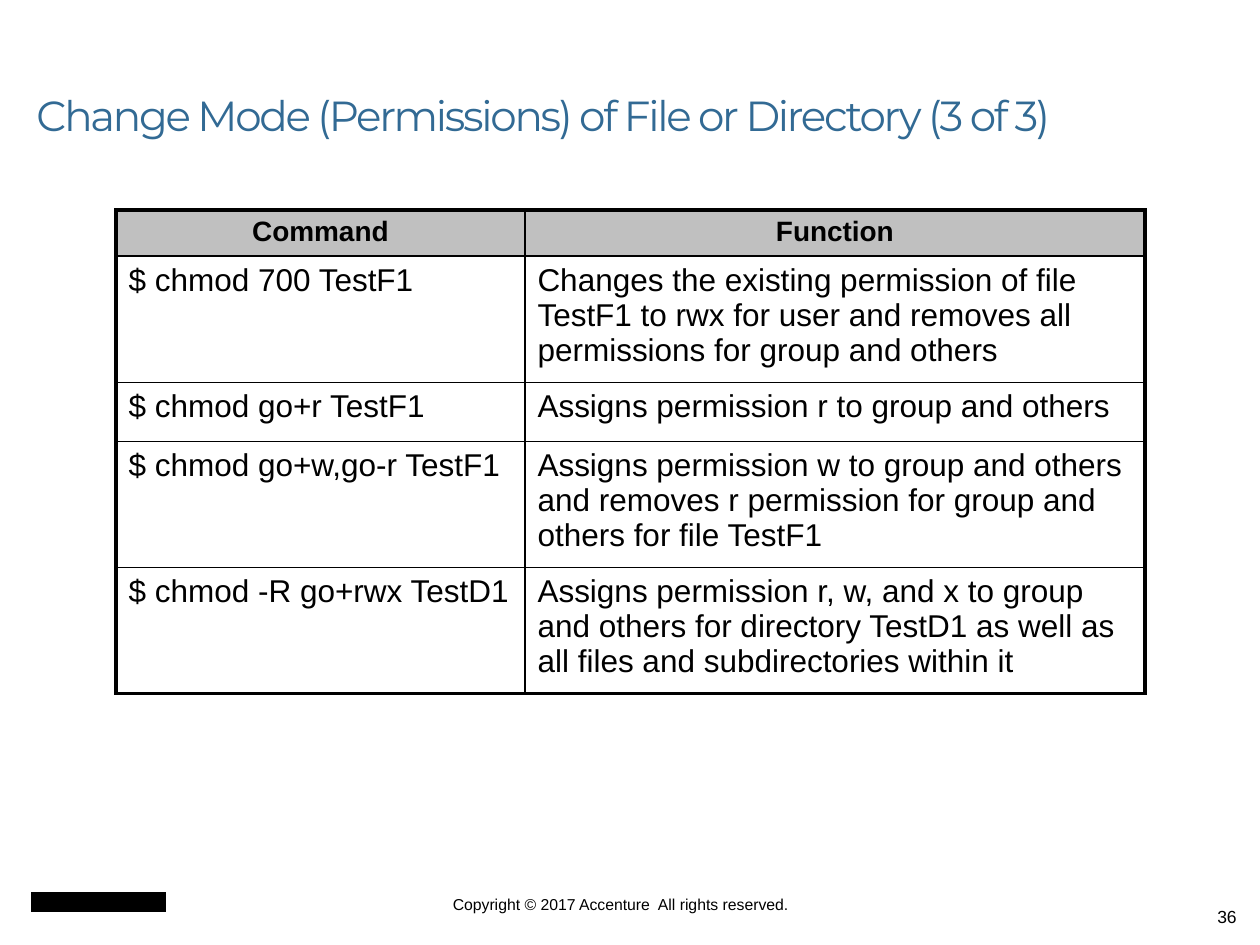
import dataclasses

import lxml.etree
import pptx
import pptx.dml.color
import pptx.enum.shapes
import pptx.enum.text
import pptx.oxml.ns
import pptx.util

ALIGN = pptx.enum.text.PP_ALIGN
ANCHOR = pptx.enum.text.MSO_ANCHOR


@dataclasses.dataclass
class Theme:
    ink: str = "000000"
    title: str = "326A94"
    header: str = "C0C0C0"
    heading_font: str = "Montserrat"
    body_font: str = "Arial"
    title_pt: int = 24
    body_pt: int = 18
    header_pt: int = 16
    number_pt: int = 10
    footer_pt: int = 9
    outer_pt: float = 2.25
    inner_pt: float = 1


def px(n):
    return pptx.util.Emu(round(n * 914400 / 126))


def rgb(value):
    return pptx.dml.color.RGBColor.from_string(value)


class Deck:
    """Holds the theme and the current slide, and draws each kind of element."""

    def __init__(self, theme):
        self.theme = theme
        self.prs = pptx.Presentation()
        self.prs.slide_width, self.prs.slide_height = px(1260), px(945)
        self.s = self.prs.slides.add_slide(self.prs.slide_layouts[6])

    def run(self, p, text, size, color=None, font=None, bold=False):
        r = p.add_run()
        r.text = text
        r.font.size = pptx.util.Pt(size)
        r.font.name = font or self.theme.body_font
        r.font.bold = bold
        r.font.color.rgb = rgb(color or self.theme.ink)
        return r

    def box(self, x, y, w, h, align, inset=True, anchor=ANCHOR.TOP):
        tf = self.s.shapes.add_textbox(px(x), px(y), px(w), px(h)).text_frame
        tf.word_wrap = True
        tf.vertical_anchor = anchor
        if not inset:
            tf.margin_left = tf.margin_right = tf.margin_top = tf.margin_bottom = 0
        p = tf.paragraphs[0]
        p.alignment = align
        return p

    def title(self, text, x, y, w, h):
        p = self.box(x, y, w, h, ALIGN.LEFT, anchor=ANCHOR.BOTTOM)
        p.line_spacing = 0.9
        t = self.theme
        r = self.run(p, text, t.title_pt, t.title, t.heading_font)
        r._r.get_or_add_rPr().set("spc", "-130")

    def label(self, text, x, y, w, h, size, align, inset=True):
        self.run(self.box(x, y, w, h, align, inset), text, size)

    def block(self, x, y, w, h, color):
        sp = self.s.shapes.add_shape(
            pptx.enum.shapes.MSO_SHAPE.RECTANGLE, px(x), px(y), px(w), px(h))
        sp.shadow.inherit = False
        sp.fill.solid()
        sp.fill.fore_color.rgb = rgb(color)
        sp.line.fill.background()

    def border(self, cell, side, width):
        qn = pptx.oxml.ns.qn
        ln = lxml.etree.SubElement(cell._tc.get_or_add_tcPr(), qn(f"a:ln{side}"),
                                   w=str(pptx.util.Pt(width)))
        fill = lxml.etree.SubElement(ln, qn("a:solidFill"))
        lxml.etree.SubElement(fill, qn("a:srgbClr"), val=self.theme.ink)

    def table(self, x, y, widths, heights, rows):
        t = self.theme
        table = self.s.shapes.add_table(
            len(heights), len(widths), px(x), px(y),
            px(sum(widths)), px(sum(heights))).table
        for column, width in zip(table.columns, widths):
            column.width = px(width)
        for i, (height, texts) in enumerate(zip(heights, rows)):
            table.rows[i].height = px(height)
            for j, text in enumerate(texts):
                cell = table.cell(i, j)
                edges = {"L": j == 0, "R": j == len(widths) - 1,
                         "T": i == 0, "B": i == len(heights) - 1}
                for side, outer in edges.items():
                    self.border(cell, side, t.outer_pt if outer else t.inner_pt)
                p = cell.text_frame.paragraphs[0]
                if i == 0:
                    cell.fill.solid()
                    cell.fill.fore_color.rgb = rgb(t.header)
                    p.alignment = ALIGN.CENTER
                    self.run(p, text, t.header_pt, bold=True)
                else:
                    cell.fill.background()
                    self.run(p, text, t.body_pt)


ROWS = [
    ("Command", "Function"),
    ("$ chmod 700 TestF1",
     "Changes the existing permission of file TestF1 to rwx for user "
     "and removes all permissions for group and others"),
    ("$ chmod go+r TestF1", "Assigns permission r to group and others"),
    ("$ chmod go+w,go-r TestF1",
     "Assigns permission w to group and others and removes r permission "
     "for group and others for file TestF1"),
    ("$ chmod -R go+rwx TestD1",
     "Assigns permission r, w, and x to group and others for directory TestD1 "
     "as well as all files and subdirectories within it"),
]


def main():
    theme = Theme()
    deck = Deck(theme)
    deck.block(31, 892, 135, 20, theme.ink)
    deck.label("Copyright © 2017 Accenture  All rights reserved.",
               346, 895, 549, 19, theme.footer_pt, ALIGN.CENTER, inset=False)
    deck.label("36", 955, 900, 294, 45, theme.number_pt, ALIGN.RIGHT)
    deck.title("Change Mode (Permissions) of File or Directory (3 of 3)",
               24, 21, 1124, 126)
    deck.table(116, 210, [409, 620], [46, 125, 59, 126, 125], ROWS)
    deck.prs.save("out.pptx")


if __name__ == "__main__":
    main()
